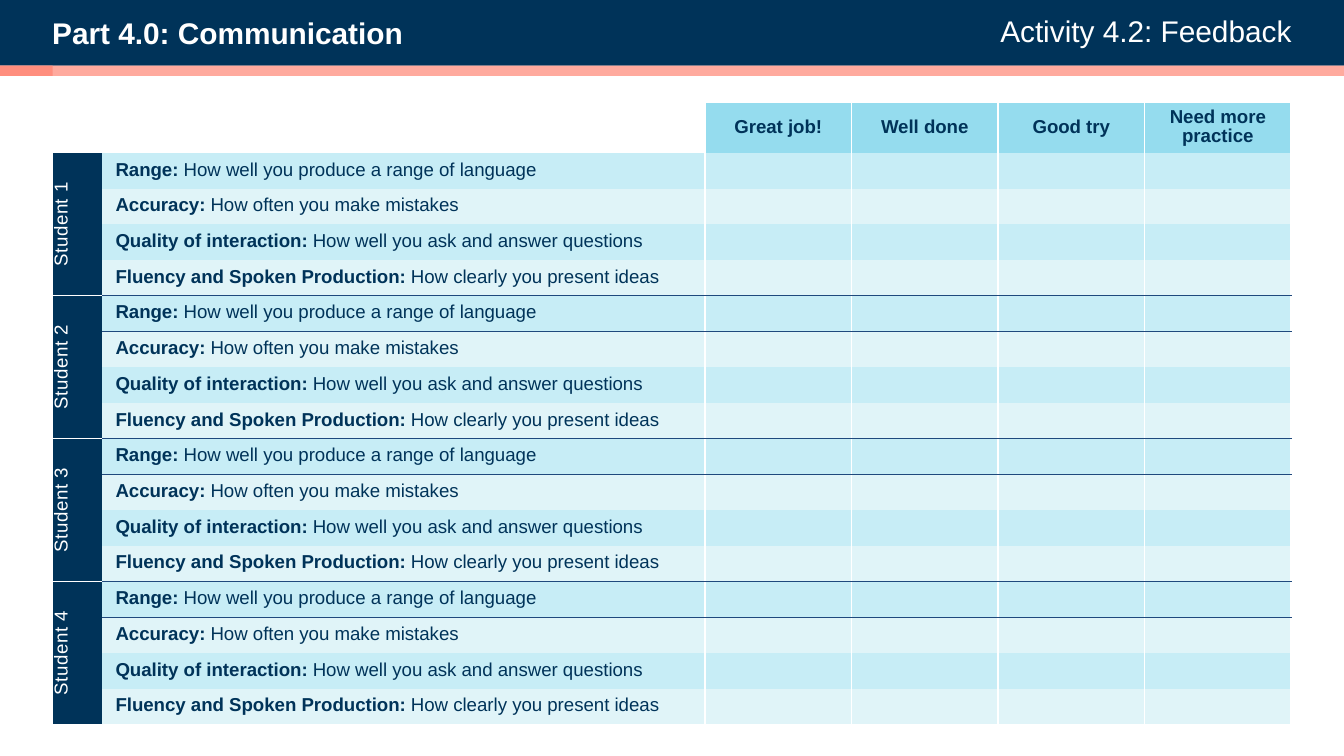
from lxml import etree
from pptx import Presentation
from pptx import util as u
from pptx.dml import color
from pptx.enum import shapes, text
from pptx.oxml import ns

FONT = "Arial"
NAVY, RULE, WHITE, CORAL = "003359", "1F497D", "FFFFFF", "FF8E7E"
HEADER, BANDS = "95DCEE", ("C7EDF6", "E0F4F8")
NO_STYLE = "{2D5ABB26-0587-4C30-8999-92F81FD0307C}"

RATINGS = ["Great job!", "Well done", "Good try", "Need more practice"]
CRITERIA = [
    ("Range:", " How well you produce a range of language"),
    ("Accuracy:", " How often you make mistakes"),
    ("Quality of interaction:", " How well you ask and answer questions"),
    ("Fluency and Spoken Production:", " How clearly you present ideas"),
]
STUDENTS = 4
CENTER, LEFT, RIGHT = (text.PP_ALIGN.CENTER, text.PP_ALIGN.LEFT,
                       text.PP_ALIGN.RIGHT)


def paint(fill, hex_color):
    fill.solid()
    fill.fore_color.rgb = color.RGBColor.from_string(hex_color)


class Sheet:
    """Holds the style and the current slide."""

    def __init__(self, page):
        self.page = page

    def fill_para(self, para, spans, size, hex_color, align):
        """Fill a paragraph with (wording, bold) spans."""
        para.alignment = align
        para.font.name = FONT
        para.font.size = u.Pt(size)
        paint(para.font.fill, hex_color)
        for wording, bold in spans:
            span = para.add_run()
            span.text = wording
            span.font.bold = bold

    def bar(self, left, top, width, height, hex_color, opacity=100):
        box = self.page.shapes.add_shape(
            shapes.MSO_SHAPE.RECTANGLE,
            u.Pt(left), u.Pt(top), u.Pt(width), u.Pt(height))
        box.shadow.inherit = False
        box.line.fill.background()
        paint(box.fill, hex_color)
        if opacity < 100:
            tint = box._element.spPr.find(".//" + ns.qn("a:srgbClr"))
            etree.SubElement(tint, ns.qn("a:alpha"), val=str(opacity * 1000))

    def label(self, left, top, width, height, wording, bold, align):
        box = self.page.shapes.add_textbox(
            u.Pt(left), u.Pt(top), u.Pt(width), u.Pt(height))
        frame = box.text_frame
        frame.word_wrap = True
        frame.margin_left = frame.margin_right = 0
        frame.margin_top = frame.margin_bottom = 0
        self.fill_para(frame.paragraphs[0], [(wording, bold)], 16, WHITE,
                       align)

    def table(self, left, top, widths, heights):
        frame = self.page.shapes.add_table(
            len(heights), len(widths), u.Pt(left), u.Pt(top),
            u.Pt(sum(widths)), u.Pt(sum(heights)))
        table = frame.table
        table.first_row = table.horz_banding = False
        table._tbl.tblPr.find(ns.qn("a:tableStyleId")).text = NO_STYLE
        for column, width in zip(table.columns, widths):
            column.width = u.Pt(width)
        for row, height in zip(table.rows, heights):
            row.height = u.Pt(height)
        return table

    def cell(self, cell, spans=(), fill=None, hex_color=NAVY, align=LEFT,
             borders=None):
        """Style one cell; borders maps sides L, R, T, B to colours."""
        cell.margin_left = cell.margin_right = u.Pt(7.2)
        cell.margin_top = cell.margin_bottom = 0
        cell.vertical_anchor = text.MSO_ANCHOR.MIDDLE
        para = cell.text_frame.paragraphs[0]
        para.line_spacing = u.Pt(10)
        self.fill_para(para, spans, 10, hex_color, align)
        if fill:
            paint(cell.fill, fill)
        properties = cell._tc.get_or_add_tcPr()
        sides = [side for side in "LRTB" if side in (borders or {})]
        for index, side in enumerate(sides):
            line = etree.Element(ns.qn("a:ln" + side), w=str(u.Pt(0.75)))
            solid = etree.SubElement(line, ns.qn("a:solidFill"))
            etree.SubElement(solid, ns.qn("a:srgbClr"), val=borders[side])
            properties.insert(index, line)

    def student(self, cell, wording, borders):
        """Style a merged cell whose text reads upwards."""
        self.cell(cell, [(wording, False)], NAVY, WHITE, CENTER, borders)
        cell._tc.get_or_add_tcPr().set("vert", "vert270")
        span = cell.text_frame.paragraphs[0].runs[0]
        span._r.get_or_add_rPr().set("spc", "30")


def main():
    deck = Presentation()
    deck.slide_width, deck.slide_height = u.Pt(720), u.Pt(405)
    sheet = Sheet(deck.slides.add_slide(deck.slide_layouts[6]))

    # Title band
    sheet.bar(0, 0, 720, 35.2, NAVY)
    sheet.label(28, 8.1, 407, 19.5, "Part 4.0: Communication", True, LEFT)
    sheet.label(437, 7, 255, 20, "Activity 4.2: Feedback", False, RIGHT)
    sheet.bar(0, 35.2, 720, 5.5, CORAL, opacity=75)
    sheet.bar(0, 35.2, 28.3, 5.5, CORAL)

    # Table header
    group = len(CRITERIA)
    table = sheet.table(28.4, 55.1, [26.3, 323] + [78.5] * len(RATINGS),
                        [26.8] + [19.16] * (STUDENTS * group))
    for column in range(2):
        sheet.cell(table.cell(0, column))
    for column, rating in enumerate(RATINGS, 2):
        sheet.cell(table.cell(0, column), [(rating, True)], HEADER,
                   align=CENTER, borders={"L": WHITE, "R": WHITE})

    # One group of criteria for each student
    for student in range(STUDENTS):
        first = 1 + student * group
        edges = [("T", student > 0), ("B", student < STUDENTS - 1)]
        edges = [side for side, inner in edges if inner]
        name = table.cell(first, 0)
        name.merge(table.cell(first + group - 1, 0))
        sheet.student(name, f"Student {student + 1}",
                      {side: WHITE for side in edges})

        for index, (term, meaning) in enumerate(CRITERIA):
            row, fill = first + index, BANDS[index % 2]
            borders = {"R": WHITE}
            if index == 0 and "T" in edges:
                borders["T"] = RULE
            if index == group - 1 and "B" in edges:
                borders["B"] = RULE
            sheet.cell(table.cell(row, 1), [(term, True), (meaning, False)],
                       fill, borders=borders)
            for column in range(2, 2 + len(RATINGS)):
                sheet.cell(table.cell(row, column), fill=fill,
                           borders={**borders, "L": WHITE})

    deck.save("out.pptx")


if __name__ == "__main__":
    main()
